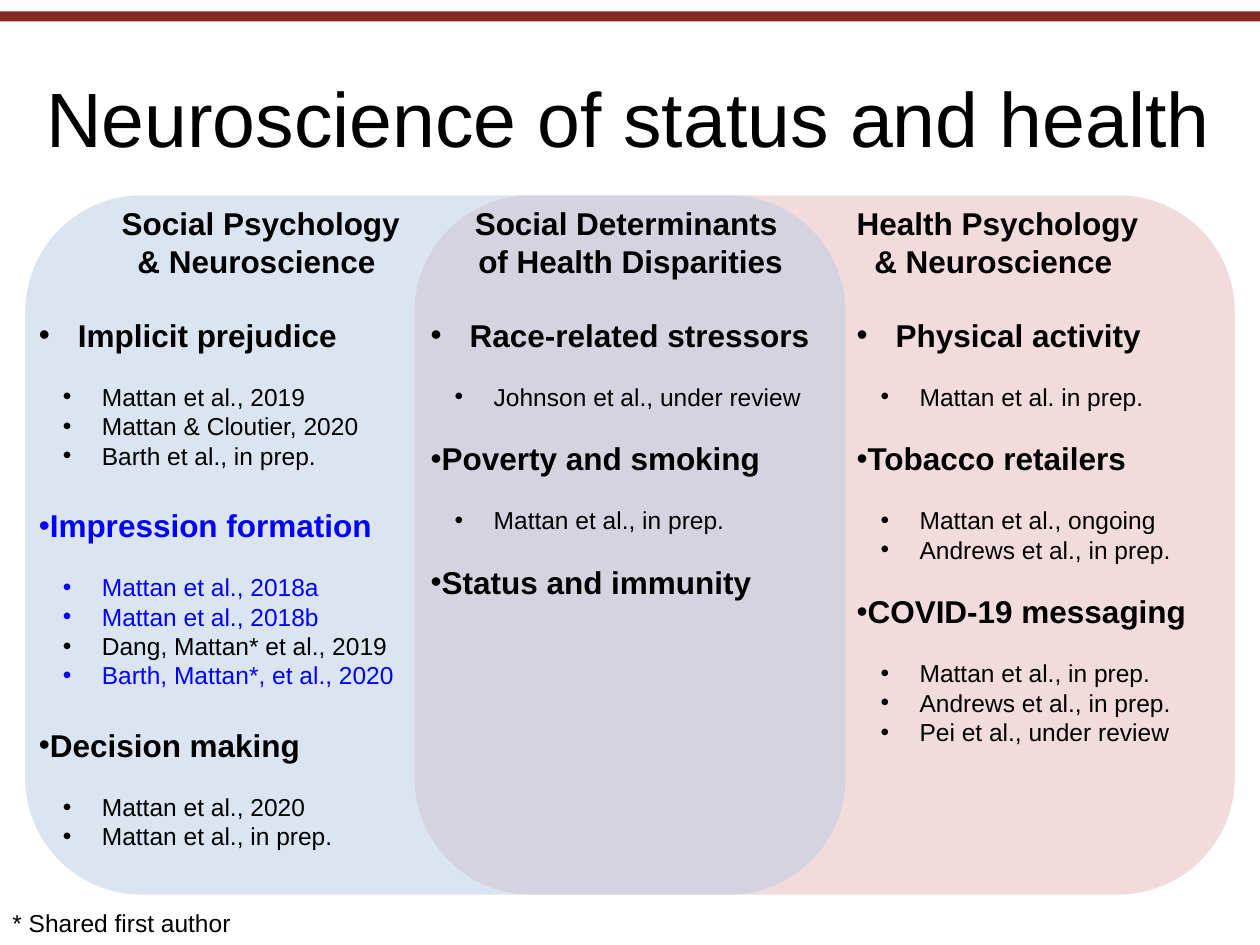
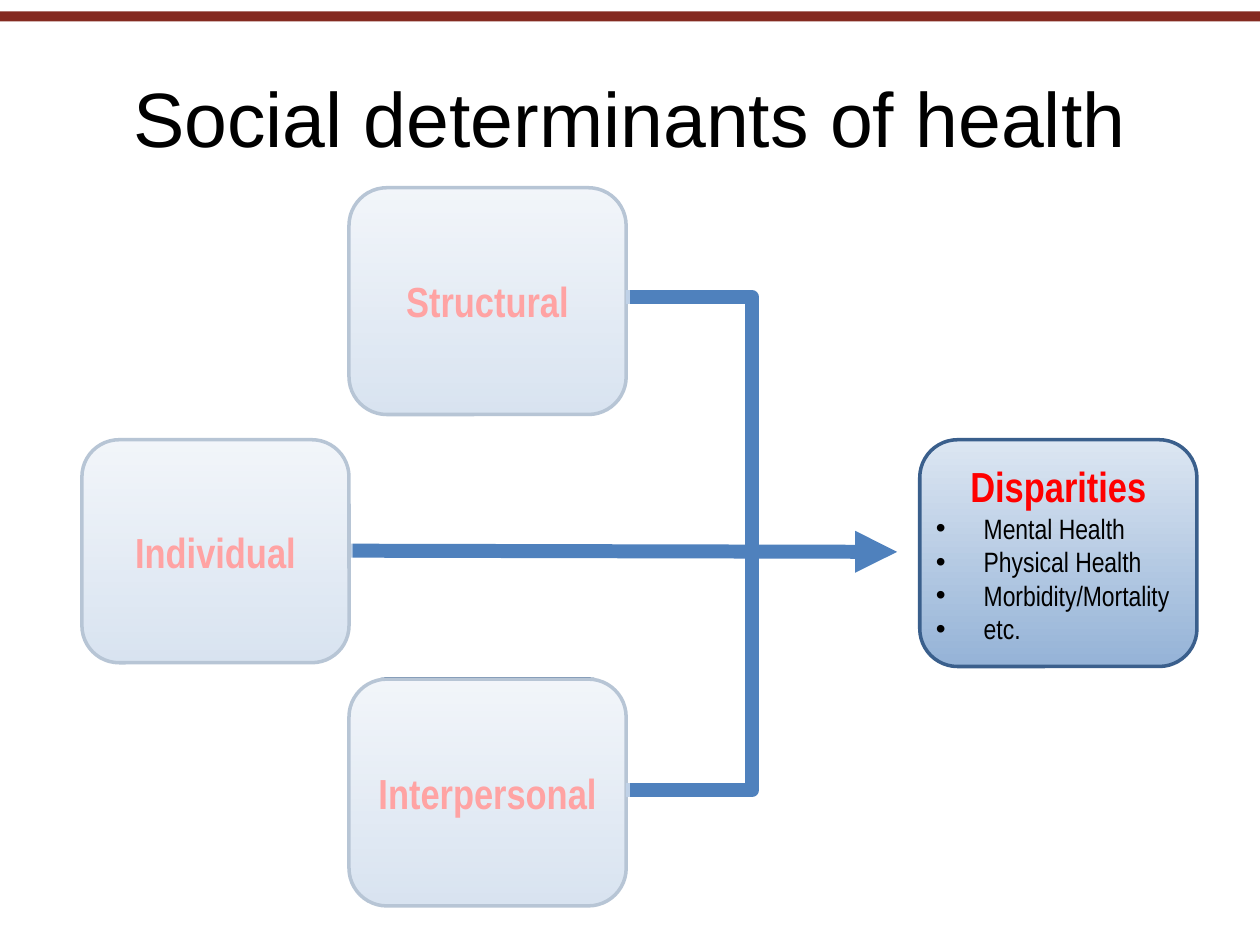
from dataclasses import dataclass

from lxml import etree
from pptx import Presentation
from pptx.dml.color import RGBColor
from pptx.enum import shapes, text
from pptx.oxml.ns import qn
from pptx.util import Inches, Pt


@dataclass(frozen=True)
class Theme:
    font: str = "Arial"
    narrow: str = "Arial Narrow"
    ink: str = "000000"
    white: str = "FFFFFF"
    highlight: str = "0000FF"
    alert: str = "FF0000"
    band: str = "842A20"
    social: str = "B9CDE5"
    health: str = "E6B9B8"
    card_dark: str = "95B3D7"
    card_light: str = "DCE6F2"
    card_edge: str = "3A5F8C"
    link: str = "4F81BD"
    title: int = 44
    label: int = 24
    topic: int = 18
    outcome: int = 16
    citation: int = 14


THEME = Theme()
CENTER, LEFT = text.PP_ALIGN.CENTER, text.PP_ALIGN.LEFT
LINE_HEIGHT = 1.15

HIGHLIGHTED = {
    "Impression formation",
    "Mattan et al., 2018a",
    "Mattan et al., 2018b",
    "Barth, Mattan*, et al., 2020",
}

FIELDS = [
    dict(
        box=(0.21, 1.57, 3.09, 5.9),
        headings=[
            ("Social Psychology", dict(align=CENTER, margin=0.63)),
            ("& Neuroscience", dict(align=CENTER, margin=0.56)),
        ],
        group_gap=THEME.topic,
        topics={
            "Implicit prejudice": [
                "Mattan et al., 2019", "Mattan & Cloutier, 2020", "Barth et al., in prep."],
            "Impression formation": [
                "Mattan et al., 2018a", "Mattan et al., 2018b",
                "Dang, Mattan* et al., 2019", "Barth, Mattan*, et al., 2020"],
            "Decision making": ["Mattan et al., 2020", "Mattan et al., in prep."],
        },
    ),
    dict(
        box=(6.7, 1.57, 3.09, 4.64),
        headings=[
            ("Health Psychology", {}),
            ("& Neuroscience", dict(margin=0.14)),
        ],
        group_gap=THEME.citation,
        topics={
            "Physical activity": ["Mattan et al. in prep."],
            "Tobacco retailers": ["Mattan et al., ongoing", "Andrews et al., in prep."],
            "COVID-19 messaging": [
                "Mattan et al., in prep.", "Andrews et al., in prep.",
                "Pei et al., under review"],
        },
    ),
    dict(
        box=(3.32, 1.57, 3.37, 3.67),
        headings=[
            ("Social Determinants", dict(align=CENTER, right=0.07)),
            ("of Health Disparities", dict(align=CENTER)),
        ],
        group_gap=THEME.citation,
        topics={
            "Race-related stressors": ["Johnson et al., under review"],
            "Poverty and smoking": ["Mattan et al., in prep."],
            "Status and immunity": [],
        },
    ),
]


def inches(box):
    return [Inches(length) for length in box]


def rgb(color):
    return RGBColor.from_string(color)


def write(frame, words, size=THEME.topic, color=THEME.ink, font=THEME.font, bold=False,
          align=LEFT, margin=0, right=0, hang=0, bullet=False, level=0, gap=0):
    first = frame.paragraphs[0]
    paragraph = frame.add_paragraph() if first.runs else first
    paragraph.alignment = align
    paragraph.level = level
    if gap:
        paragraph.space_before = Pt(round(gap * LINE_HEIGHT, 1))
    properties = paragraph._p.get_or_add_pPr()
    properties.set("marL", str(Inches(margin)))
    properties.set("marR", str(Inches(right)))
    properties.set("indent", str(Inches(-hang)))
    if bullet:
        etree.SubElement(properties, qn("a:buFont")).set("typeface", THEME.font)
        etree.SubElement(properties, qn("a:buChar")).set("char", "•")
    run = paragraph.add_run()
    run.text = words
    run.font.name = font
    run.font.size = Pt(size)
    run.font.bold = bold
    run.font.color.rgb = rgb(color)


def add_panel(slide, box, color, kind=shapes.MSO_SHAPE.RECTANGLE, opacity=100):
    panel = slide.shapes.add_shape(kind, *inches(box))
    panel.shadow.inherit = False
    panel.line.fill.background()
    panel.fill.solid()
    panel.fill.fore_color.rgb = rgb(color)
    if opacity < 100:
        tint = panel._element.spPr.find(".//" + qn("a:srgbClr"))
        etree.SubElement(tint, qn("a:alpha")).set("val", str(opacity * 1000))


def add_text_area(slide, box, wrap=True):
    frame = slide.shapes.add_textbox(*inches(box)).text_frame
    frame.word_wrap = wrap
    return frame


def start_slide(deck, heading, title_box):
    slide = deck.slides.add_slide(deck.slide_layouts[5])
    title = slide.shapes.title
    title.left, title.top, title.width, title.height = inches(title_box)
    title.text_frame.auto_size = text.MSO_AUTO_SIZE.NONE
    title.text_frame.vertical_anchor = text.MSO_ANCHOR.MIDDLE
    write(title.text_frame, heading, size=THEME.title, align=CENTER)
    add_panel(slide, (0, 0.09, 10, 0.08), THEME.band)
    return slide


def add_field(slide, box, headings, group_gap, topics):
    frame = add_text_area(slide, box)
    for heading, layout in headings:
        write(frame, heading, bold=True, **layout)

    def entry(words, **layout):
        color = THEME.highlight if words in HIGHLIGHTED else THEME.ink
        write(frame, words, color=color, bullet=True, **layout)

    for order, (topic, citations) in enumerate(topics.items()):
        indent = 0 if order else 0.31
        entry(topic, bold=True, margin=indent, hang=indent,
              gap=group_gap if order else THEME.topic)
        for place, citation in enumerate(citations):
            entry(citation, size=THEME.citation, level=1, margin=0.5, hang=0.31,
                  gap=0 if place else THEME.citation)


def add_card(slide, box, label):
    card = slide.shapes.add_shape(shapes.MSO_SHAPE.ROUNDED_RECTANGLE, *inches(box))
    card.shadow.inherit = False
    card.fill.gradient()
    card.fill.gradient_angle = 90
    for stop, color in zip(card.fill.gradient_stops, (THEME.card_dark, THEME.card_light)):
        stop.color.rgb = rgb(color)
    card.line.color.rgb = rgb(THEME.card_edge)
    card.line.width = Pt(2)
    frame = card.text_frame
    frame.word_wrap = True
    frame.margin_left = frame.margin_right = Inches(0.04)
    write(frame, label, size=THEME.label, color=THEME.alert, font=THEME.narrow,
          bold=True, align=CENTER)
    return frame


def add_link(slide, start, end, bent=False, arrow=False):
    kind = shapes.MSO_CONNECTOR.ELBOW if bent else shapes.MSO_CONNECTOR.STRAIGHT
    link = slide.shapes.add_connector(kind, *inches(start + end))
    link.line.color.rgb = rgb(THEME.link)
    link.line.width = Pt(8)
    properties = link._element.spPr
    if bent:
        properties.find(qn("a:prstGeom")).set("prst", "bentConnector2")
    if arrow:
        etree.SubElement(properties.find(qn("a:ln")), qn("a:tailEnd")).set("type", "triangle")
    etree.SubElement(properties, qn("a:effectLst"))


def build_research_slide(deck):
    slide = start_slide(deck, "Neuroscience of status and health", (0.2, 0.3, 9.58, 1.25))
    for left, color in ((3.29, THEME.health), (0.2, THEME.social)):
        add_panel(slide, (left, 1.55, 6.51, 5.55), color,
                  kind=shapes.MSO_SHAPE.ROUNDED_RECTANGLE, opacity=50)
    for field in FIELDS:
        add_field(slide, **field)
    footnote = add_text_area(slide, (0, 7.16, 1.94, 0.34), wrap=False)
    write(footnote, "* Shared first author", size=THEME.citation)


def build_determinants_slide(deck):
    slide = start_slide(deck, "Social determinants of health", (0.5, 0.3, 9, 1.25))
    add_link(slide, (2.4, 4.37), (7.12, 4.38), arrow=True)
    determinants = {
        "Individual": ((0.65, 3.49, 2.12, 1.77), (0.5, 3.31)),
        "Structural": ((2.77, 1.49, 2.2, 1.8), (2.7, 1.45)),
        "Interpersonal": ((2.77, 5.39, 2.2, 1.8), (2.7, 5.38)),
    }
    for label, (box, _) in determinants.items():
        add_card(slide, box, label)
    outcomes = add_card(slide, (7.3, 3.49, 2.2, 1.8), "Disparities")
    for outcome in ("Mental Health", "Physical Health", "Morbidity/Mortality", "etc."):
        write(outcomes, outcome, size=THEME.outcome, font=THEME.narrow, bullet=True,
              margin=0.38, hang=0.38)
    for level, meeting in ((2.36, 5.16), (6.27, 4.91)):
        add_link(slide, (4.97, level), (5.97, meeting), bent=True)
    for _, corner in determinants.values():
        add_panel(slide, corner + (2.3, 2.09), THEME.white, opacity=64)


def main():
    deck = Presentation()
    deck.slide_width, deck.slide_height = Inches(10), Inches(7.5)
    build_research_slide(deck)
    build_determinants_slide(deck)
    deck.save("out.pptx")


if __name__ == "__main__":
    main()
